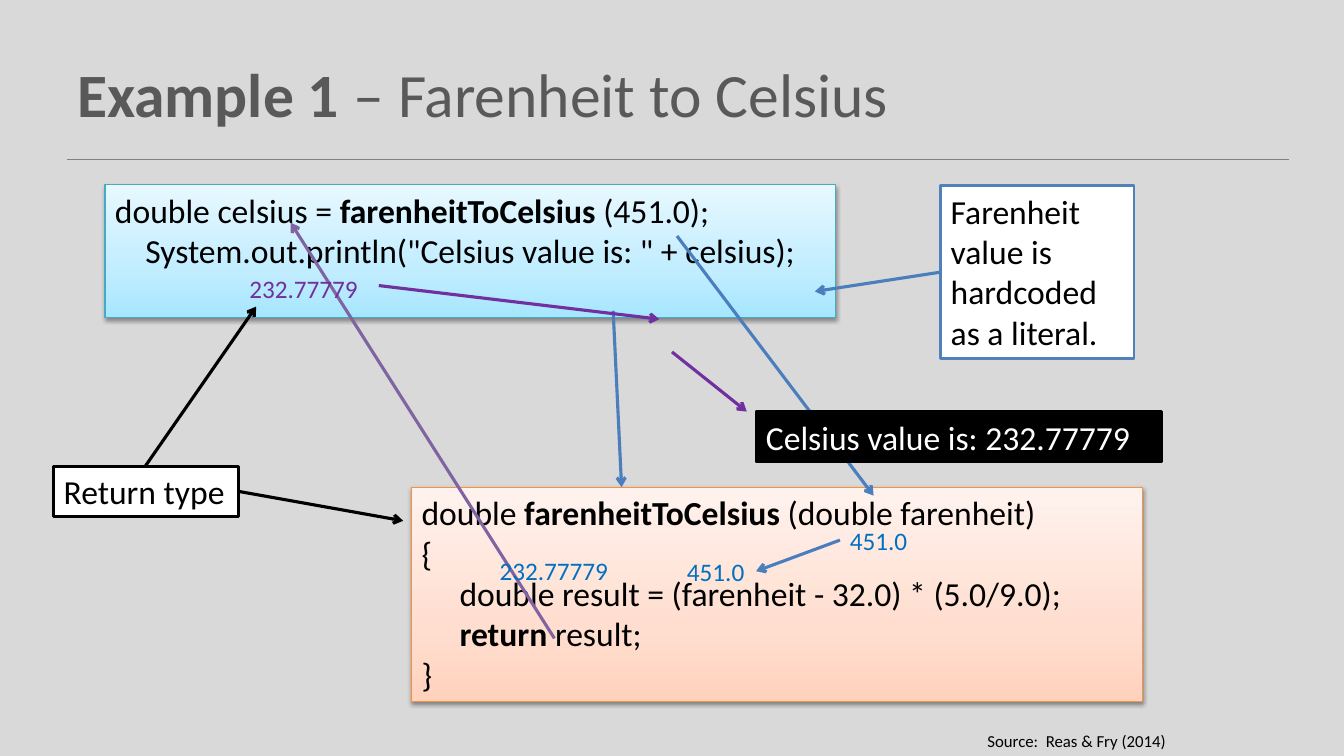
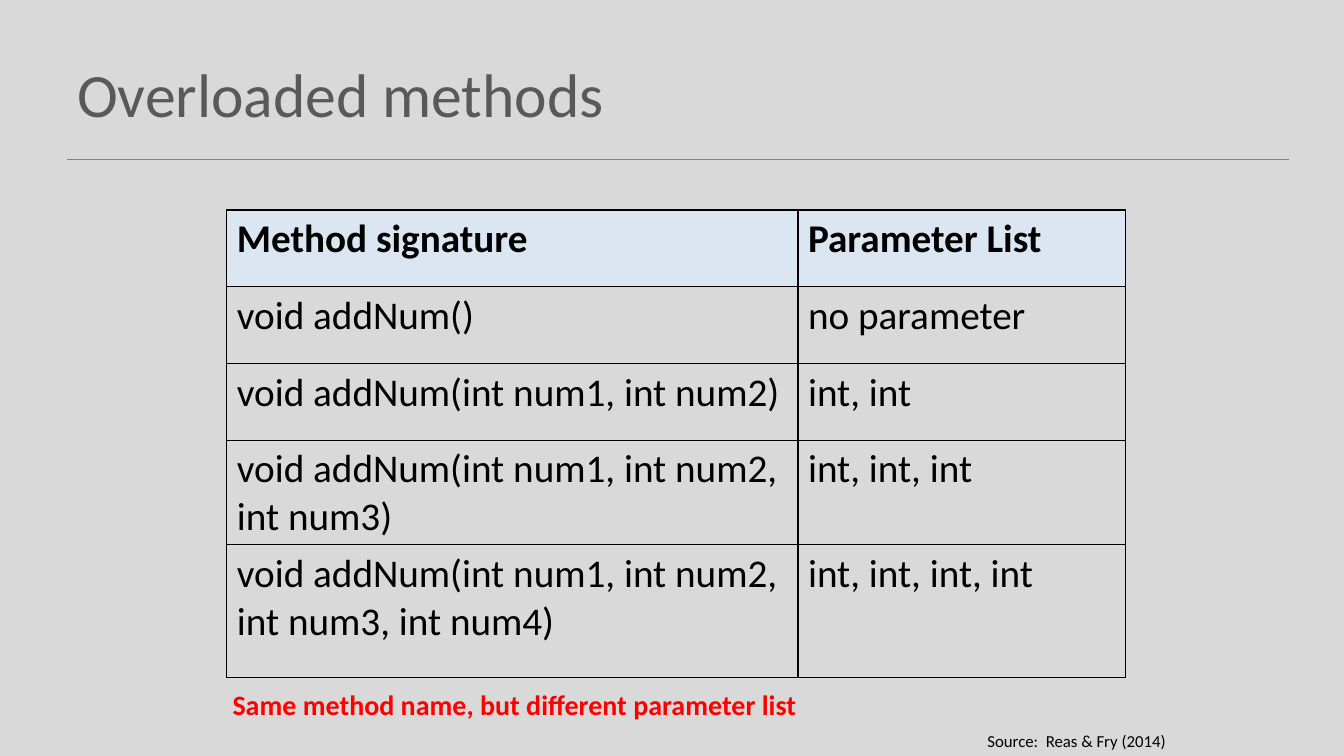
"""Build two slides on Java methods: a worked example and overloading."""
from lxml.etree import SubElement
from pptx import Presentation
from pptx.dml.color import RGBColor
from pptx.enum.shapes import MSO_CONNECTOR, MSO_SHAPE
from pptx.enum.text import MSO_ANCHOR, MSO_AUTO_SIZE, PP_ALIGN
from pptx.oxml.ns import qn
from pptx.util import Inches, Pt

COLORS = {
    "page": "D9D9D9", "title": "595959", "rule": "808080",
    "black": "000000", "white": "FFFFFF", "red": "FF0000",
    "blue": "4B7EBC", "note": "4F81BD", "argument": "0070C0",
    "result": "7030A0", "return": "8064A2", "header": "DCE6F2",
    "call_line": "46AAC5", "method_line": "F69240",
}
CALL_STOPS = {0: "A7E6FF", 35: "C1EDFF", 100: "E7F8FF"}
METHOD_STOPS = {0: "FFD2BD", 35: "FFDED0", 100: "FFF2ED"}
FONT = "Calibri"
COLUMNS, ROWS = 160, 90

CALL_CODE = (
    "double celsius = **farenheitToCelsius** (451.0);",
    '    System.out.println("Celsius value is: " + celsius);',
)
METHOD_CODE = (
    "double **farenheitToCelsius **(double farenheit)",
    "{",
    "     double result = (farenheit - 32.0) * (5.0/9.0);",
    "     **return** result;",
    "}",
)
SIGNATURES = (
    ("Method signature", "Parameter List"),
    ("void addNum()", "no parameter"),
    ("void addNum(int num1, int num2)", "int, int"),
    ("void addNum(int num1, int num2, int num3)", "int, int, int"),
    ("void addNum(int num1, int num2, int num3, int num4)",
     "int, int, int, int"),
)


def grid(*cells):
    """Turn counts of grid cells, each a twelfth of an inch, into lengths."""
    return [Inches(cell / 12) for cell in cells]


def color(name):
    """Look up a named colour."""
    return RGBColor.from_string(COLORS[name])


def write(frame, *lines, size=24, ink="black", bold=False, align=None):
    """Write lines as paragraphs; double asterisks switch bold on and off."""
    for index, line in enumerate(lines):
        para = frame.paragraphs[0] if index == 0 else frame.add_paragraph()
        para.alignment = align or PP_ALIGN.LEFT
        for part, words in enumerate(line.split("**")):
            if words:
                span = para.add_run()
                span.text = words
                span.font.name = FONT
                span.font.size = Pt(size)
                span.font.bold = bold or part % 2 == 1
                span.font.color.rgb = color(ink)


def add_text(page, area, text, wrap=True, anchor=MSO_ANCHOR.TOP, **style):
    """Add a plain text box."""
    frame = page.shapes.add_textbox(*grid(*area)).text_frame
    frame.word_wrap = wrap
    if not wrap:
        frame.auto_size = MSO_AUTO_SIZE.SHAPE_TO_FIT_TEXT
    frame.vertical_anchor = anchor
    write(frame, text, **style)


def add_box(page, area, *lines, fill="white", line="black", width=2, **style):
    """Add an outlined rectangle with text and return it."""
    box = page.shapes.add_shape(MSO_SHAPE.RECTANGLE, *grid(*area))
    box.shadow.inherit = False
    box.fill.solid()
    box.fill.fore_color.rgb = color(fill)
    box.line.color.rgb = color(line)
    box.line.width = Pt(width)
    box.text_frame.word_wrap = True
    box.text_frame.vertical_anchor = MSO_ANCHOR.TOP
    write(box.text_frame, *lines, **style)
    return box


def add_code(page, area, lines, stops, line):
    """Add a code panel with an upward gradient and a soft shadow."""
    box = add_box(page, area, *lines, line=line, width=0.75)
    box.fill.gradient()
    box.fill.gradient_angle = 90
    properties = box._element.spPr
    stop_list = properties.find(".//" + qn("a:gsLst"))
    stop_list.clear()
    for percent, value in stops.items():
        stop = SubElement(stop_list, qn("a:gs"), pos=str(percent * 1000))
        SubElement(stop, qn("a:srgbClr"), val=value)
    shadow = SubElement(
        properties.find(qn("a:effectLst")), qn("a:outerShdw"),
        blurRad=str(Pt(3.1)), dist=str(Pt(1.6)), dir="5400000",
        rotWithShape="0")
    shade = SubElement(shadow, qn("a:srgbClr"), val=COLORS["black"])
    SubElement(shade, qn("a:alpha"), val="38000")


def add_line(page, start, end, ink="blue", width=2.25, arrow=True):
    """Draw a straight line, by default with an arrowhead at its end."""
    line = page.shapes.add_connector(
        MSO_CONNECTOR.STRAIGHT, *grid(*start, *end))
    line.line.color.rgb = color(ink)
    line.line.width = Pt(width)
    if arrow:
        SubElement(line.line._get_or_add_ln(), qn("a:tailEnd"), type="arrow")
    SubElement(line._element.spPr, qn("a:effectLst"))


def add_borders(cell):
    """Give a table cell thin black borders."""
    properties = cell._tc.get_or_add_tcPr()
    for side in ("L", "R", "T", "B"):
        border = SubElement(properties, qn(f"a:ln{side}"), w=str(Pt(1)))
        fill = SubElement(border, qn("a:solidFill"))
        SubElement(fill, qn("a:srgbClr"), val=COLORS["black"])


def add_grid_table(page, origin, widths, heights, rows):
    """Add a bordered table with a tinted bold header row."""
    area = grid(*origin, sum(widths), sum(heights))
    table = page.shapes.add_table(len(rows), len(widths), *area).table
    table.first_row = table.horz_banding = False
    for column, width in zip(table.columns, grid(*widths)):
        column.width = width
    for row, height in zip(table.rows, grid(*heights)):
        row.height = height
    for index, texts in enumerate(rows):
        for column, text in enumerate(texts):
            cell = table.cell(index, column)
            add_borders(cell)
            if index == 0:
                cell.fill.solid()
                cell.fill.fore_color.rgb = color("header")
            else:
                cell.fill.background()
            write(cell.text_frame, text, size=28, bold=index == 0)


def add_page(deck, title):
    """Add a slide with its title, rule and source line."""
    page = deck.slides.add_slide(deck.slide_layouts[6])
    add_line(page, (8, 19), (153.4, 19), "rule", 1, arrow=False)
    add_text(page, (8, 3.6, 144, 15), title, anchor=MSO_ANCHOR.MIDDLE,
             size=44, ink="title")
    add_text(page, (67, 86.4, 73, 3.6), "Source:  Reas & Fry (2014)",
             size=12, align=PP_ALIGN.RIGHT)
    return page


def add_example(deck):
    """Trace a method call, its argument and its returned value."""
    page = add_page(deck, "**Example 1 **– Farenheit to Celsius")
    add_code(page, (12.5, 22, 87, 15.75), CALL_CODE, CALL_STOPS, "call_line")
    add_code(page, (49, 58, 87, 25.5), METHOD_CODE, METHOD_STOPS,
             "method_line")
    add_line(page, (80.6, 28.1), (104, 59))
    add_box(page, (90, 49, 48.25, 6), "Celsius value is: 232.77779",
            fill="black", ink="white")
    add_box(page, (112, 22.1, 23, 20.6),
            "Farenheit value is hardcoded as a literal.", line="note")
    add_box(page, (6.4, 55.5, 22, 6), "Return type")
    arrows = (
        ((112, 32.4), (97, 34.7), "blue"),
        ((73, 37), (74, 58), "blue"),
        ((28.4, 58.5), (48, 62), "black"),
        ((66, 76), (34.6, 26.5), "return"),
        ((45.1, 34), (78.5, 38), "result"),
        ((80, 41.9), (88.9, 49), "result"),
        ((17.3, 55.5), (30.5, 36.5), "black"),
        ((100, 64.3), (90, 68), "blue"),
    )
    for start, end, ink in arrows:
        add_line(page, start, end, ink)
    values = (
        ("451.0", 80.6, 65.6, 9.4, "argument"),
        ("451.0", 100, 61.9, 9.4, "argument"),
        ("232.77779", 58.3, 65.5, 15.5, "argument"),
        ("232.77779", 28.5, 31.9, 15.5, "result"),
    )
    for text, left, top, width, ink in values:
        add_text(page, (left, top, width, 4.8), text, wrap=False,
                 size=18, ink=ink)


def add_overloading(deck):
    """List the overloaded signatures with their parameters."""
    page = add_page(deck, "Overloaded methods")
    add_grid_table(page, (27, 25), (68, 39), (9.15, 9.15, 9.15, 8.5, 15.85),
                   SIGNATURES)
    add_text(page, (26.5, 81.2, 70.2, 5.3),
             "Same method name, but different parameter list",
             wrap=False, size=20, ink="red", bold=True)


def main():
    """Create and save the deck."""
    deck = Presentation()
    deck.slide_width, deck.slide_height = grid(COLUMNS, ROWS)
    background = deck.slide_master.background.fill
    background.solid()
    background.fore_color.rgb = color("page")
    add_example(deck)
    add_overloading(deck)
    deck.save("out.pptx")


if __name__ == "__main__":
    main()
